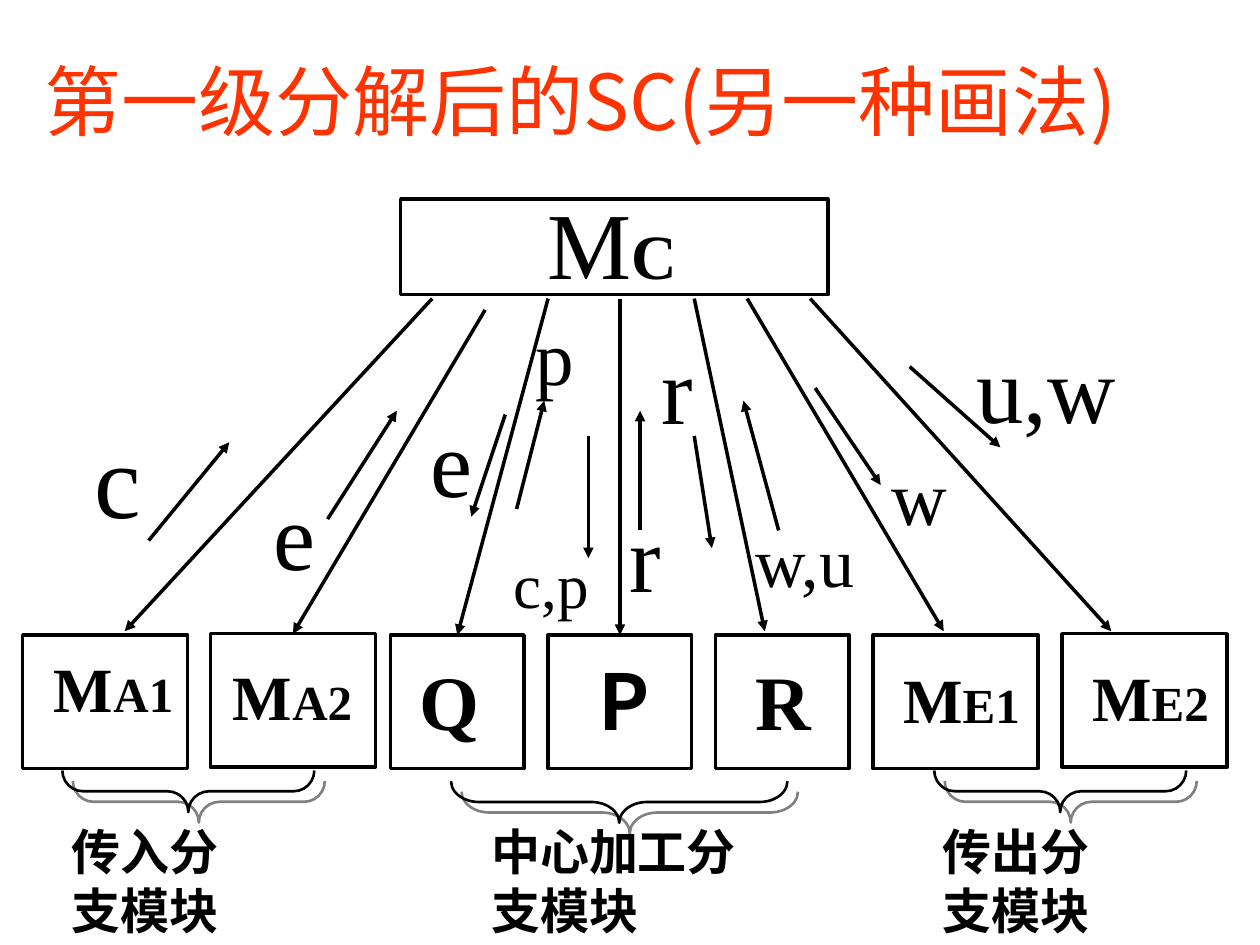
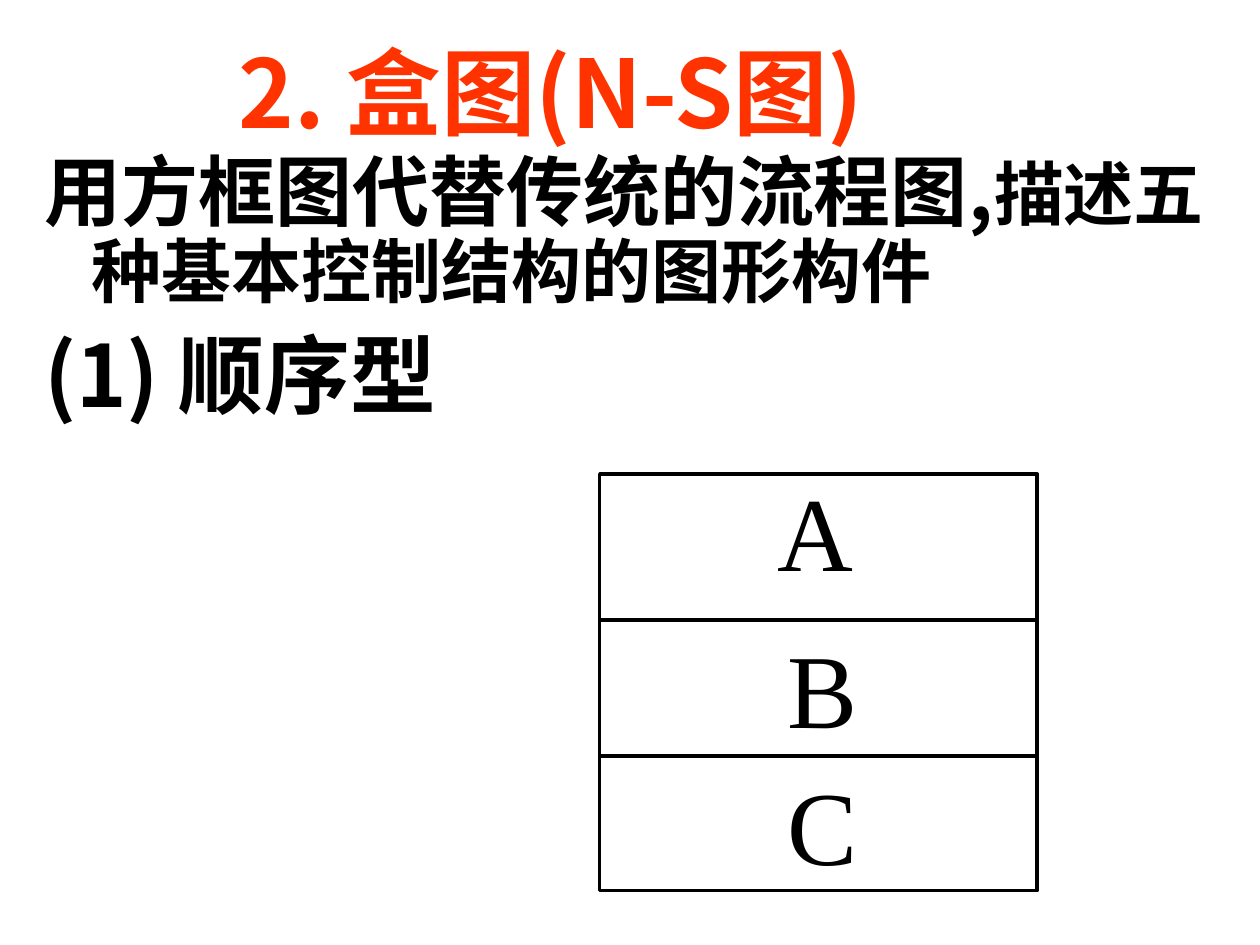
"""Build two slides: a structure chart after first-level factoring and an N-S box diagram."""
from dataclasses import dataclass
from typing import Optional

from lxml.etree import SubElement
from pptx import Presentation
from pptx.dml.color import RGBColor
from pptx.enum.shapes import MSO_CONNECTOR, MSO_SHAPE
from pptx.enum.text import MSO_ANCHOR as Anchor, MSO_AUTO_SIZE as AutoSize, PP_ALIGN as Align
from pptx.oxml.ns import qn
from pptx.util import Pt

PX = 9144
BLACK = RGBColor(0x00, 0x00, 0x00)
WHITE = RGBColor(0xFF, 0xFF, 0xFF)
TITLE_RED = RGBColor(0xFF, 0x33, 0x00)
SHADOW_GRAY = RGBColor(0x80, 0x80, 0x80)
SERIF = "Times New Roman"
SANS = "Noto Sans CJK SC"
HEADING = "Noto Sans CJK JP"
TITLE_ONLY, TITLE_AND_BODY = 5, 1


@dataclass(frozen=True)
class Box:
    left: int
    top: int
    width: int
    height: int

    def emu(self) -> tuple:
        return tuple(PX * n for n in (self.left, self.top, self.width, self.height))


@dataclass(frozen=True)
class Module:
    box: Box
    label_at: Box
    name: str
    suffix: str = ""
    font: str = SERIF


@dataclass(frozen=True)
class Call:
    start: tuple[int, int]
    end_x: int
    module: int


@dataclass(frozen=True)
class Flow:
    start: tuple[int, int]
    end: tuple[int, int]


@dataclass(frozen=True)
class DataLabel:
    text: str
    at: Box
    size: int
    wrap: bool = False


@dataclass(frozen=True)
class Branch:
    brace: Box
    curve: float
    caption_left: int
    caption: tuple[str, ...]


CONTROL = Box(318, 158, 339, 76)
CALL_END_Y = 501
GLUE_REACH = 2
MODULES = (
    Module(Box(18, 504, 131, 106), Box(33, 511, 135, 70), "M", "A1"),
    Module(Box(167, 503, 131, 106), Box(175, 517, 135, 70), "M", "A2"),
    Module(Box(310, 504, 106, 106), Box(323, 514, 93, 83), "Q"),
    Module(Box(435, 504, 114, 106), Box(465, 514, 68, 83), "P", font=SANS),
    Module(Box(568, 504, 106, 106), Box(590, 514, 68, 83), "R"),
    Module(Box(693, 504, 131, 106), Box(707, 519, 135, 70), "M", "E1"),
    Module(Box(843, 503, 131, 106), Box(857, 518, 135, 70), "M", "E2"),
)
CALLS = (
    Call((343, 237), 99, 0),
    Call((385, 246), 232, 1),
    Call((435, 237), 365, 2),
    Call((492, 237), 492, 3),
    Call((551, 237), 607, 4),
    Call((593, 237), 749, 5),
    Call((643, 237), 882, 6),
)
FLOWS = (
    Flow((118, 429), (182, 351)),
    Flow((260, 412), (315, 326)),
    Flow((401, 329), (374, 410)),
    Flow((410, 404), (432, 318)),
    Flow((467, 346), (467, 443)),
    Flow((508, 421), (508, 326)),
    Flow((551, 346), (565, 435)),
    Flow((618, 421), (590, 318)),
    Flow((647, 308), (699, 385)),
    Flow((722, 291), (794, 355)),
)
DATA_LABELS = (
    DataLabel("c", Box(65, 323, 57, 110), 60),
    DataLabel("e", Box(207, 373, 60, 100), 54, True),
    DataLabel("e", Box(332, 315, 60, 100), 54, True),
    DataLabel("p", Box(415, 240, 60, 83), 44, True),
    DataLabel("c,p", Box(398, 428, 84, 70), 36),
    DataLabel("r", Box(490, 390, 60, 100), 54, True),
    DataLabel("r", Box(515, 257, 60, 100), 54, True),
    DataLabel("w,u", Box(590, 406, 104, 76), 40),
    DataLabel("w", Box(698, 351, 66, 83), 44),
    DataLabel("u,w", Box(765, 256, 136, 100), 54),
)
BRANCHES = (
    Branch(Box(133, 528, 33, 200), 0.5, 47, ("传入分", "支模块")),
    Branch(Box(475, 503, 33, 267), 0.67, 380, ("中心加工分支模块",)),
    Branch(Box(825, 528, 33, 200), 0.5, 738, ("传出分", "支模块")),
)

SEQUENCE = Box(476, 376, 347, 331)
DIVIDERS = (492, 600)
STEPS = (
    DataLabel("A", Box(607, 365, 80, 110), 60),
    DataLabel("B", Box(615, 490, 75, 110), 60),
    DataLabel("C", Box(615, 599, 75, 110), 60),
)


def write(paragraph, text: str, *, size: int, font: str = SERIF,
          color: RGBColor = BLACK, bold: bool = False) -> None:
    run = paragraph.add_run()
    run.text = text
    run.font.size = Pt(size)
    run.font.name = font
    run.font.bold = bold
    run.font.color.rgb = color
    SubElement(run.font._element, qn("a:ea"), typeface=font)


def place(shape, box: Box) -> None:
    shape.left, shape.top, shape.width, shape.height = box.emu()


def add_label(slide, box: Box, wrap: bool = True):
    frame = slide.shapes.add_textbox(*box.emu()).text_frame
    frame.word_wrap = wrap
    frame.auto_size = AutoSize.SHAPE_TO_FIT_TEXT
    return frame


def add_data_label(slide, label: DataLabel) -> None:
    frame = add_label(slide, label.at, label.wrap)
    write(frame.paragraphs[0], label.text, size=label.size)


def add_outline(slide, kind: MSO_SHAPE, box: Box, weight: float = 2,
                fill: Optional[RGBColor] = None):
    shape = slide.shapes.add_shape(kind, *box.emu())
    shape.shadow.inherit = False
    if fill is None:
        shape.fill.background()
    else:
        shape.fill.solid()
        shape.fill.fore_color.rgb = fill
    shape.line.color.rgb = BLACK
    shape.line.width = Pt(weight)
    return shape


def add_line(slide, start: tuple[int, int], end: tuple[int, int], arrow: bool = False):
    line = slide.shapes.add_connector(
        MSO_CONNECTOR.STRAIGHT, *(PX * n for n in (*start, *end)))
    line.line.color.rgb = BLACK
    line.line.width = Pt(2)
    properties = line._element.spPr
    if arrow:
        SubElement(properties.find(qn("a:ln")), qn("a:tailEnd"), type="triangle")
    SubElement(properties, qn("a:effectLst"))
    return line


def add_brace(slide, branch: Branch) -> None:
    brace = add_outline(slide, MSO_SHAPE.LEFT_BRACE, branch.brace, 1.5)
    brace.rotation = 270
    brace.adjustments[0] = branch.curve
    effects = brace._element.spPr.find(qn("a:effectLst"))
    shadow = SubElement(effects, qn("a:outerShdw"), blurRad="0", dist=str(Pt(8.5)),
                        dir="2700000", algn="ctr", rotWithShape="0")
    SubElement(shadow, qn("a:srgbClr"), val=str(SHADOW_GRAY))


def set_title(slide, text: str, box: Box, *, size: int, align: Align,
              bold: bool = False) -> None:
    title = slide.shapes.title
    place(title, box)
    frame = title.text_frame
    frame.auto_size = AutoSize.NONE
    frame.vertical_anchor = Anchor.MIDDLE
    frame.paragraphs[0].alignment = align
    write(frame.paragraphs[0], text, size=size, font=HEADING, color=TITLE_RED, bold=bold)


def add_body_paragraph(paragraph, runs: tuple, space_before: int = 0) -> None:
    properties = paragraph._element.get_or_add_pPr()
    properties.set("marL", str(38 * PX))
    properties.set("indent", str(-38 * PX))
    SubElement(properties, qn("a:buNone"))
    paragraph.line_spacing = 0.9
    paragraph.space_before = Pt(space_before)
    for text, size in runs:
        write(paragraph, text, size=size, font=HEADING, bold=True)


def build_structure_chart(deck) -> None:
    slide = deck.slides.add_slide(deck.slide_layouts[TITLE_ONLY])
    set_title(slide, "第一级分解后的SC(另一种画法)", Box(25, 17, 917, 125),
              size=44, align=Align.LEFT)

    add_outline(slide, MSO_SHAPE.RECTANGLE, CONTROL, fill=WHITE)
    control_name = add_label(slide, Box(425, 142, 123, 100), wrap=False).paragraphs[0]
    write(control_name, "M", size=54)
    write(control_name, "C", size=36, bold=True)

    module_boxes = []
    for module in MODULES:
        module_boxes.append(add_outline(slide, MSO_SHAPE.RECTANGLE, module.box, fill=WHITE))
        name = add_label(slide, module.label_at).paragraphs[0]
        write(name, module.name, size=36 if module.suffix else 44,
              font=module.font, bold=True)
        if module.suffix:
            write(name, module.suffix, size=28, bold=True)

    for call in CALLS:
        arrow = add_line(slide, call.start, (call.end_x, CALL_END_Y), arrow=True)
        box = MODULES[call.module].box
        if abs(box.left + box.width / 2 - call.end_x) <= GLUE_REACH:
            arrow.end_connect(module_boxes[call.module], 0)
    for flow in FLOWS:
        add_line(slide, flow.start, flow.end, arrow=True)
    for label in DATA_LABELS:
        add_data_label(slide, label)

    for branch in BRANCHES:
        add_brace(slide, branch)
        frame = add_label(slide, Box(branch.caption_left, 647, 245, 103))
        for index, text in enumerate(branch.caption):
            paragraph = frame.add_paragraph() if index else frame.paragraphs[0]
            write(paragraph, text, size=28, font=SANS, bold=True)


def build_box_diagram(deck) -> None:
    slide = deck.slides.add_slide(deck.slide_layouts[TITLE_AND_BODY])
    set_title(slide, "2. 盒图(N-S图)", Box(50, 17, 775, 110),
              size=54, align=Align.CENTER, bold=True)

    body = slide.placeholders[1]
    place(body, Box(25, 117, 967, 242))
    frame = body.text_frame
    frame.auto_size = AutoSize.NONE
    add_body_paragraph(frame.paragraphs[0], (
        ("用方框图代替传统的流程图,", 44), ("描述五种基本控制结构的图形构件", 40)))
    add_body_paragraph(frame.add_paragraph(), (("(1) 顺序型", 49),), space_before=12)

    add_outline(slide, MSO_SHAPE.RECTANGLE, SEQUENCE)
    for y in DIVIDERS:
        add_line(slide, (SEQUENCE.left, y), (SEQUENCE.left + SEQUENCE.width, y))
    for step in STEPS:
        add_data_label(slide, step)


def main() -> None:
    deck = Presentation()
    deck.slide_width, deck.slide_height = 1000 * PX, 750 * PX
    build_structure_chart(deck)
    build_box_diagram(deck)
    deck.save("out.pptx")


if __name__ == "__main__":
    main()
